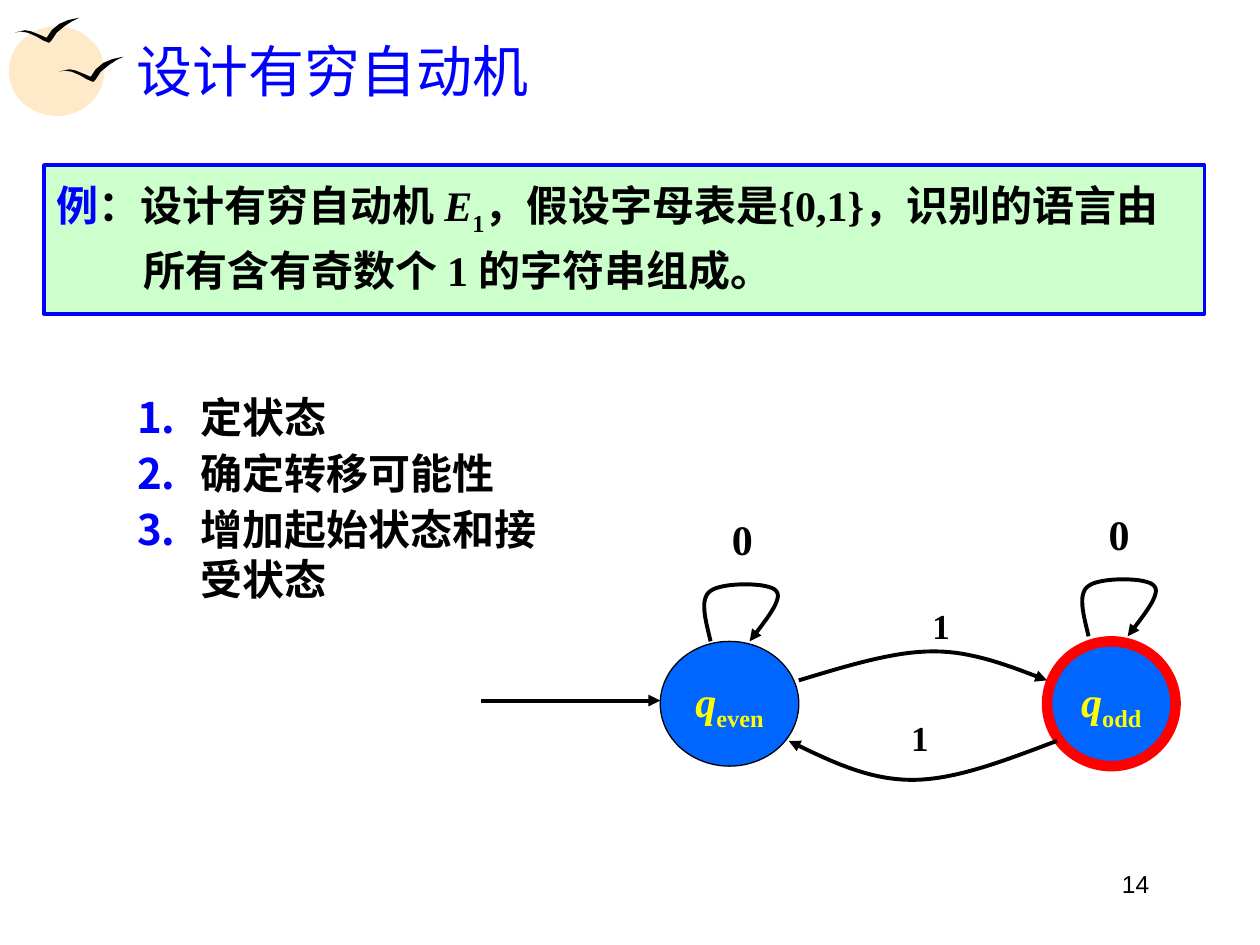
from lxml.etree import SubElement
from pptx import Presentation
from pptx.dml.color import RGBColor
from pptx.enum.shapes import MSO_CONNECTOR, MSO_SHAPE
from pptx.enum.text import MSO_ANCHOR, MSO_AUTO_SIZE, PP_ALIGN
from pptx.oxml.ns import qn
from pptx.util import Inches, Pt

LEFT, CENTER, RIGHT = PP_ALIGN.LEFT, PP_ALIGN.CENTER, PP_ALIGN.RIGHT
MIDDLE, TOP = MSO_ANCHOR.MIDDLE, MSO_ANCHOR.TOP
NO_FIT = MSO_AUTO_SIZE.NONE
OVAL, STRAIGHT = MSO_SHAPE.OVAL, MSO_CONNECTOR.STRAIGHT
BLUE = RGBColor(0x00, 0x00, 0xFF)
STATE_BLUE = RGBColor(0x00, 0x66, 0xFF)
GREEN = RGBColor(0xCC, 0xFF, 0xCC)
RED = RGBColor(0xFF, 0x00, 0x00)
YELLOW = RGBColor(0xFF, 0xFF, 0x00)
BLACK = RGBColor(0x00, 0x00, 0x00)
SUN = RGBColor(0xFE, 0xE9, 0xC8)
SERIF = "Times New Roman"

deck = Presentation()
deck.slide_width, deck.slide_height = Inches(10), Inches(7.5)
UNIT = deck.slide_width // 100
page = deck.slides.add_slide(deck.slide_layouts[1])
shapes = page.shapes
title, example = page.placeholders


def grid(*values):
    return [round(value * UNIT) for value in values]


def write(para, runs, size, color=BLACK, align=LEFT, bold=True, name=SERIF):
    para.alignment = align
    font = para.font
    font.name, font.size, font.bold = name, Pt(size), bold
    font.color.rgb = color
    for text, style in runs:
        span = para.add_run()
        span.text = text
        if style == "italic":
            span.font.italic = True
        elif style == "sub":
            span._r.get_or_add_rPr().set("baseline", "-25000")
        elif style == "blue":
            span.font.color.rgb = BLUE


sun = shapes.add_shape(OVAL, *grid(0.7, 2.1, 7.6, 7.1))
sun.shadow.inherit = False
sun.fill.solid()
sun.fill.fore_color.rgb = SUN
sun.line.fill.background()

WING = [(0, 1.2), (0.3, 1.1), (0.8, 1), (1.3, 1.1), (1.8, 1.3), (2.5, 1.6),
        (2.9, 1), (3.5, 0.5), (4.2, 0.2), (5.1, 0), (4.5, 0.3), (3.9, 0.7),
        (3.3, 1.2), (2.9, 1.8), (2.7, 2), (2.2, 1.8), (1.7, 1.5), (1, 1.2), (0.4, 1.1)]
for left, top in [(4.7, 4.5), (1.2, 1.4)]:
    outline = [grid(left + x, top + y) for x, y in WING]
    builder = shapes.build_freeform(*outline[0])
    builder.add_line_segments(outline[1:])
    bird = builder.convert_to_shape()
    bird.shadow.inherit = False
    bird.fill.solid()
    bird.fill.fore_color.rgb = BLACK
    bird.line.fill.background()

title.left, title.top, title.width, title.height = grid(9.8, 2.1, 85.3, 6.9)
title.text_frame.auto_size = NO_FIT
title.text_frame.vertical_anchor = MIDDLE
write(title.text_frame.paragraphs[0], [("设计有穷自动机", "")], 32, BLUE, bold=False)

example.left, example.top, example.width, example.height = grid(3.5, 13.1, 92.1, 11.8)
example.fill.solid()
example.fill.fore_color.rgb = GREEN
example.line.color.rgb = BLUE
example.line.width = Pt(2.25)
example.text_frame.auto_size = NO_FIT
example.text_frame.vertical_anchor = TOP
para = example.text_frame.paragraphs[0]
properties = para._p.get_or_add_pPr()
properties.set("marL", str(Inches(0.69)))
properties.set("indent", str(-Inches(0.69)))
SubElement(properties, qn("a:buNone"))
para.line_spacing = 1.15
para.space_before = Pt(0)
write(para, [("例", "blue"), ("：设计有穷自动机 ", ""), ("E", "italic"), ("1", "sub"),
             ("，假设字母表是{0,1}，识别的语言由所有含有奇数个 1 的字符串组成。", "")], 24)

STATES = [("odd", 83.1, 10.2, RED, 6), ("even", 52.4, 11, BLACK, 0.75)]
for label, left, width, border, weight in STATES:
    state = shapes.add_shape(OVAL, *grid(left, 50.9, width, 9.9))
    state.shadow.inherit = False
    state.fill.solid()
    state.fill.fore_color.rgb = STATE_BLUE
    state.line.color.rgb = border
    state.line.width = Pt(weight)
    state.text_frame.word_wrap = False
    state.text_frame.vertical_anchor = MIDDLE
    write(state.text_frame.paragraphs[0], [("q", "italic"), (label, "sub")],
          24, YELLOW, CENTER)

LOOP = [(0.9, 4.7), (0.5, 3), (0, 1.3), (0.9, 0.7), (1.8, 0), (5.6, 0), (6.1, 0.7),
        (6.7, 1.3), (5.3, 3), (4, 4.7)]
CURVES = [
    [(63.4, 54), (67.1, 52.9), (70.8, 51.7), (74.1, 51.7), (77.3, 51.7), (80.2, 52.9), (83.1, 54)],
    [(83.9, 58.8), (79.9, 60.3), (75.9, 61.9), (72.4, 61.9), (68.8, 61.9), (65.7, 60.3), (62.6, 58.8)],
]
for left, top in [(55.5, 46.2), (85.5, 45.8)]:
    CURVES.append([(left + x, top + y) for x, y in LOOP])

STEPS = 16
arrows = []
for knots in CURVES:
    builder = shapes.build_freeform(*grid(*knots[0]))
    trace = []
    for first in range(0, len(knots) - 1, 3):
        for step in range(1, STEPS + 1):
            t = step / STEPS
            weights = (1 - t) ** 3, 3 * t * (1 - t) ** 2, 3 * t ** 2 * (1 - t), t ** 3
            trace.append(grid(*(sum(w * knot[axis] for w, knot in zip(weights, knots[first:first + 4]))
                                for axis in (0, 1))))
    builder.add_line_segments(trace, close=False)
    curve = builder.convert_to_shape()
    curve.shadow.inherit = False
    curve.fill.background()
    arrows.append(curve)

start = shapes.add_connector(STRAIGHT, *grid(38.2, 55.6, 52.4, 55.6))
arrows.append(start)
for arrow in arrows:
    arrow.line.color.rgb = BLACK
    arrow.line.width = Pt(2.25)
    SubElement(arrow.line._get_or_add_ln(), qn("a:tailEnd"), type="triangle")
SubElement(start._element.spPr, qn("a:effectLst"))

LABELS = [("1", 73, 47.5, 3.4, 4.4, 20), ("1", 71.3, 56.4, 3.4, 4.4, 20),
          ("0", 57.1, 40.3, 3.6, 5, 24), ("0", 87, 39.9, 3.6, 5, 24)]
for text, left, top, width, height, size in LABELS:
    box = shapes.add_textbox(*grid(left, top, width, height))
    box.text_frame.word_wrap = False
    write(box.text_frame.paragraphs[0], [(text, "")], size, align=CENTER)

steps = shapes.add_textbox(*grid(9.9, 30.6, 34, 18.1)).text_frame
steps.word_wrap = True
for index, text in enumerate(["定状态", "确定转移可能性", "增加起始状态和接受状态"]):
    para = steps.add_paragraph() if index else steps.paragraphs[0]
    properties = para._p.get_or_add_pPr()
    properties.set("marL", str(Inches(0.5)))
    properties.set("indent", str(-Inches(0.5)))
    bullet_color = SubElement(properties, qn("a:buClr"))
    SubElement(bullet_color, qn("a:srgbClr"), val=str(BLUE))
    SubElement(properties, qn("a:buFont"), typeface="+mj-lt")
    SubElement(properties, qn("a:buAutoNum"), type="arabicPeriod")
    para.line_spacing = 1.0
    para.space_before = Pt(3 if index else 0)
    write(para, [(text, "")], 24)

number = shapes.add_textbox(*grid(68.9, 68.5, 23.3, 5.2)).text_frame
number.word_wrap = True
write(number.paragraphs[0], [("14", "")], 14, align=RIGHT, bold=False, name="Arial")

deck.save("out.pptx")
